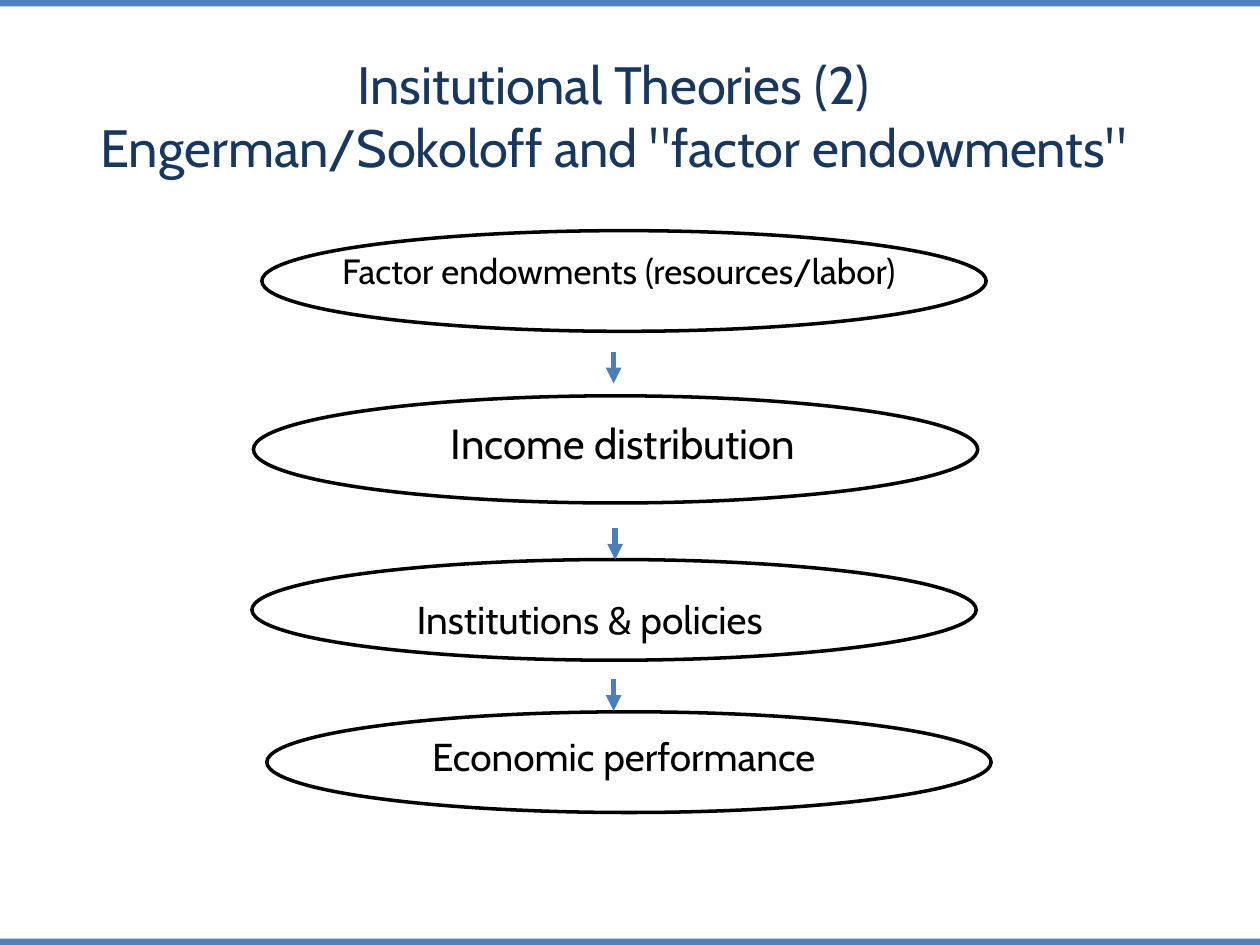
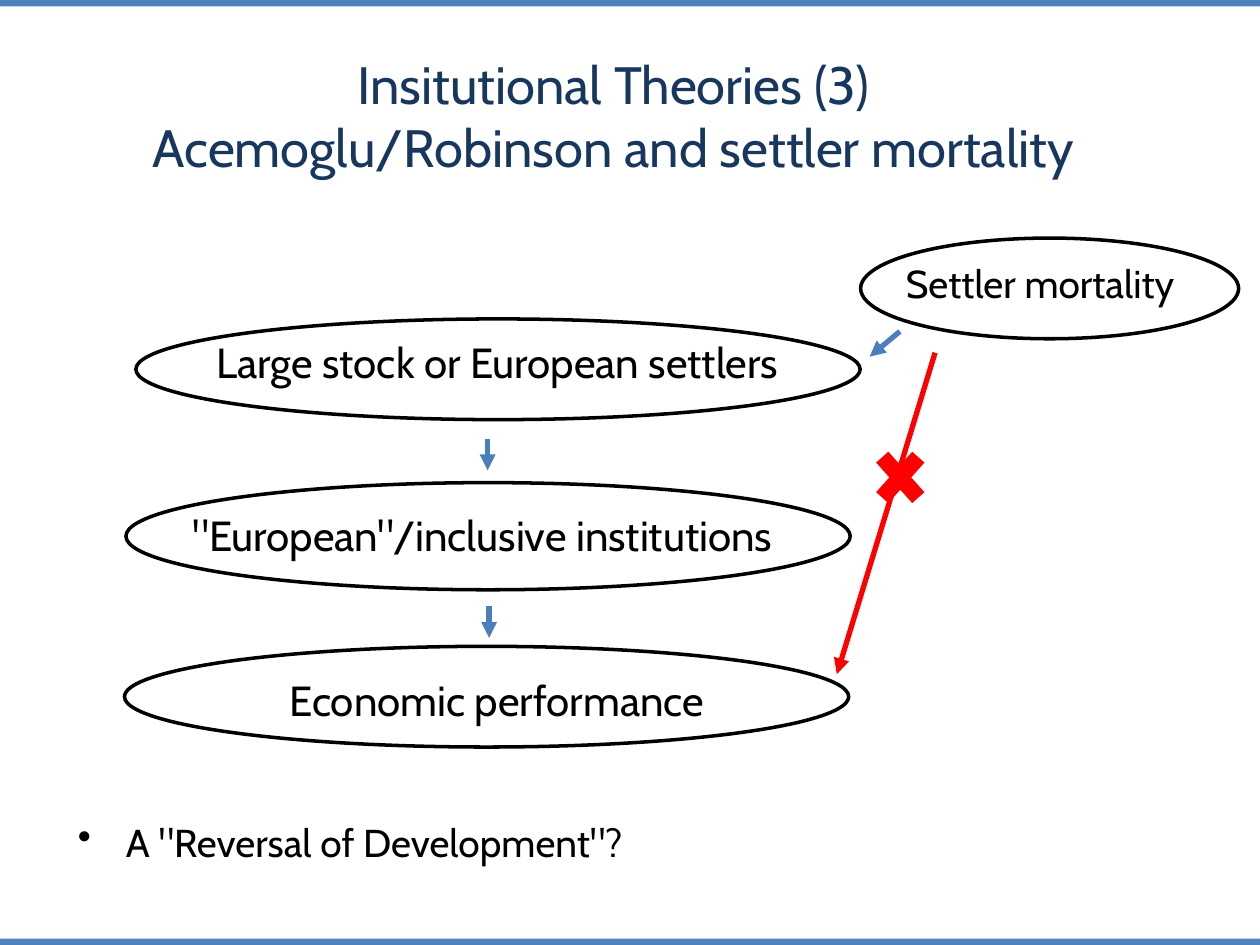
from lxml import etree
from pptx import Presentation
from pptx.dml.color import RGBColor
from pptx.enum.shapes import MSO_CONNECTOR, MSO_SHAPE
from pptx.enum.text import MSO_ANCHOR, PP_ALIGN
from pptx.oxml.ns import qn
from pptx.util import Cm, Pt

RECT, OVAL, CROSS = MSO_SHAPE.RECTANGLE, MSO_SHAPE.OVAL, MSO_SHAPE.MATH_MULTIPLY
STRAIGHT = MSO_CONNECTOR.STRAIGHT
MIDDLE, CENTER = MSO_ANCHOR.MIDDLE, PP_ALIGN.CENTER

COLORS = {
    "band": "4F81BD",
    "title": "17375E",
    "text": "000000",
    "arrow": "4B7EBC",
    "blocked": "FF0000",
}
FONT = "Cabin"
WIDTH, HEIGHT, BAND = 25.4, 19.05, 0.13
OVAL_W, OVAL_H, TALL_H = 14.6, 2.03, 2.16
ARROW_LEN = 0.64


def rgb(name):
    return RGBColor.from_string(COLORS[name])


class Deck:
    """Holds the shared style and the current slide; all lengths are in cm."""

    def __init__(self):
        self.prs = Presentation()
        self.prs.slide_width, self.prs.slide_height = Cm(WIDTH), Cm(HEIGHT)
        self.s = None

    def slide(self, *title_lines):
        self.s = self.prs.slides.add_slide(self.prs.slide_layouts[6])
        for top in (0, HEIGHT - BAND):
            self.shape(RECT, 0, top, WIDTH, BAND, fill="band")
        tf = self.frame(0.94, 1.3, 22.86, 2.03)
        tf.vertical_anchor = MIDDLE
        p = tf.paragraphs[0]
        p.alignment = CENTER
        for i, line in enumerate(title_lines):
            if i:
                p.add_line_break()
            self.run(p, line, 30, "title")

    def frame(self, x, y, w, h):
        """Add a wrapping text box and return its text frame."""
        tf = self.s.shapes.add_textbox(Cm(x), Cm(y), Cm(w), Cm(h)).text_frame
        tf.word_wrap = True
        return tf

    def run(self, p, text, size, color="text"):
        r = p.add_run()
        r.text = text
        r.font.name, r.font.size = FONT, Pt(size)
        r.font.color.rgb = rgb(color)

    def text(self, text, x, y, w, h, size=24, spacing=0.9):
        p = self.frame(x, y, w, h).paragraphs[0]
        p.line_spacing = spacing
        p.space_before = p.space_after = Pt(6)
        self.run(p, text, size)
        return p

    def bullet(self, text, x, y, w, h, size, spacing, indent=0.97):
        pPr = self.text(text, x, y, w, h, size, spacing)._p.get_or_add_pPr()
        pPr.set("marL", str(Cm(indent)))
        pPr.set("indent", str(-Cm(indent)))
        etree.SubElement(pPr, qn("a:buChar")).set("char", "•")

    def shape(self, kind, x, y, w, h, fill=None):
        """Add a filled shape, or a black outline when no fill is given."""
        sp = self.s.shapes.add_shape(kind, Cm(x), Cm(y), Cm(w), Cm(h))
        sp.shadow.inherit = False
        if fill:
            sp.fill.solid()
            sp.fill.fore_color.rgb = rgb(fill)
            sp.line.fill.background()
        else:
            sp.fill.background()
            sp.line.color.rgb = rgb("text")
            sp.line.width = Pt(2)

    def oval(self, x, y, w=OVAL_W, h=OVAL_H):
        self.shape(OVAL, x, y, w, h)

    def arrow(self, x1, y1, x2, y2, color="arrow"):
        c = self.s.shapes.add_connector(STRAIGHT, Cm(x1), Cm(y1), Cm(x2), Cm(y2))
        c.line.color.rgb = rgb(color)
        c.line.width = Pt(3)
        etree.SubElement(c.line._get_or_add_ln(), qn("a:tailEnd")).set("type", "triangle")
        etree.SubElement(c._element.spPr, qn("a:effectLst"))

    def down_arrow(self, x, y):
        self.arrow(x, y, x, y + ARROW_LEN)


def factor_endowments(d):
    d.slide("Insitutional Theories (2)", 'Engerman/Sokoloff and "factor endowments"')
    d.text("Factor endowments (resources/labor)", 6.65, 5, 13.72, 1.45, 20)
    d.text("Income distribution", 8.84, 8.41, 8.46, 1.7)
    d.text("Institutions & policies", 8.15, 11.99, 8.46, 1.7, 22.2)
    d.text("Economic performance", 8.46, 14.91, 8.46, 1.19, 22.2, 0.7)
    d.oval(5.28, 4.65)
    d.oval(5.11, 7.98, h=TALL_H)
    d.oval(5.08, 11.28)
    d.oval(5.38, 14.35)
    for x, y in ((12.37, 7.09), (12.4, 10.64), (12.37, 13.69)):
        d.down_arrow(x, y)


def settler_mortality(d):
    d.slide("Insitutional Theories (3)", "Acemoglu/Robinson and settler mortality")
    d.text("Large stock or European settlers", 4.11, 6.78, 13.72, 1.45)
    d.text('"European"/inclusive institutions', 3.63, 10.26, 13, 2.21)
    d.text("Economic performance", 5.59, 13.59, 9.42, 2.03)
    d.text("Settler mortality", 18.01, 5.36, 6.3, 1.19, 22.2, 0.7)
    d.oval(2.74, 6.43)
    d.oval(2.54, 9.73, h=TALL_H)
    d.oval(2.51, 13.03)
    d.oval(17.35, 4.8, w=7.62)
    for x, y in ((9.83, 8.84), (9.86, 12.22)):
        d.down_arrow(x, y)
    d.arrow(18.14, 6.68, 17.53, 7.19)
    d.arrow(18.85, 7.11, 16.87, 13.59, "blocked")
    d.shape(CROSS, 17.45, 8.84, 1.4, 1.57, fill="blocked")
    d.bullet('A "Reversal of Development"?', 1.32, 16.56, 22.86, 1.22, 22.2, 0.8)


def main():
    d = Deck()
    factor_endowments(d)
    settler_mortality(d)
    d.prs.save("out.pptx")


if __name__ == "__main__":
    main()
